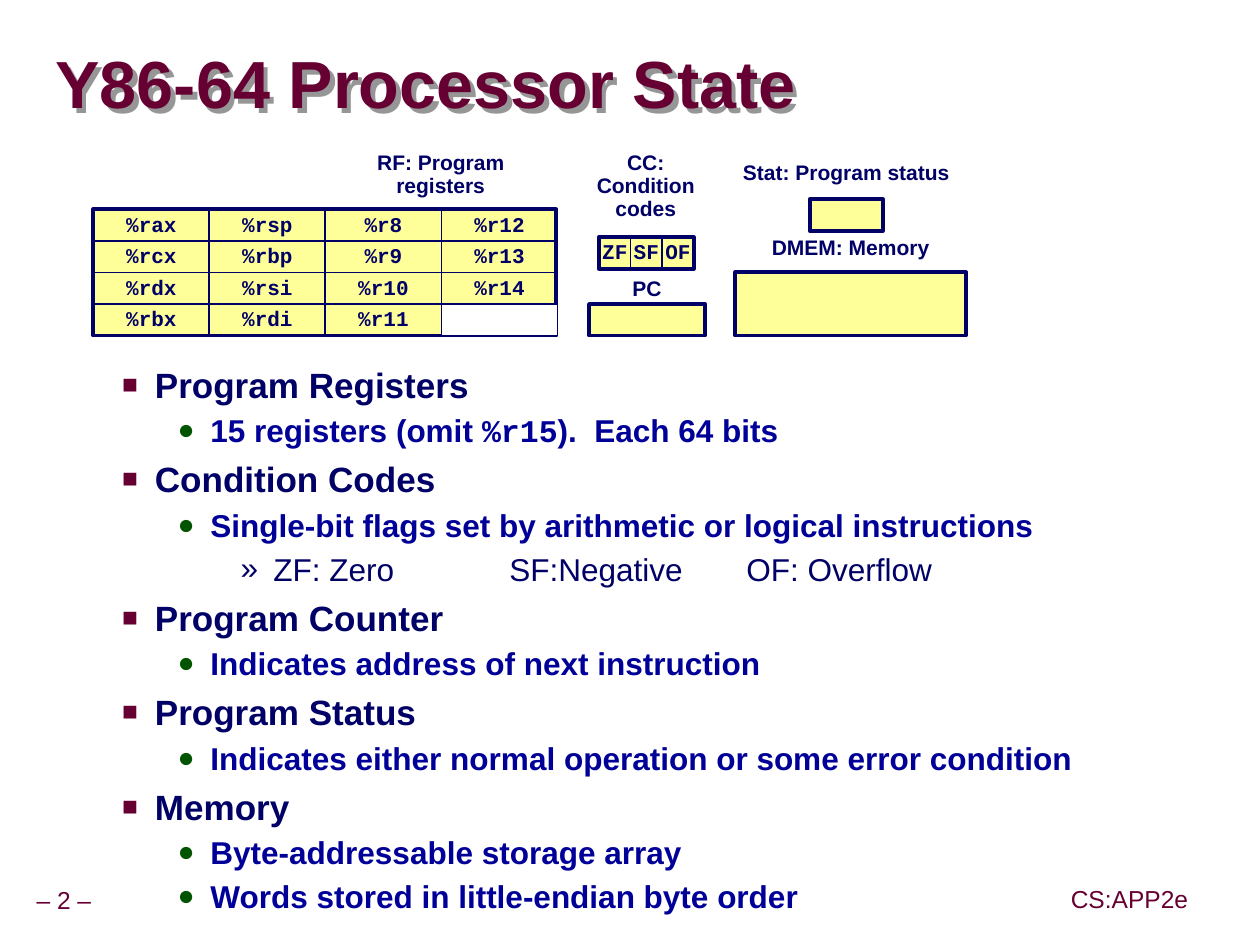
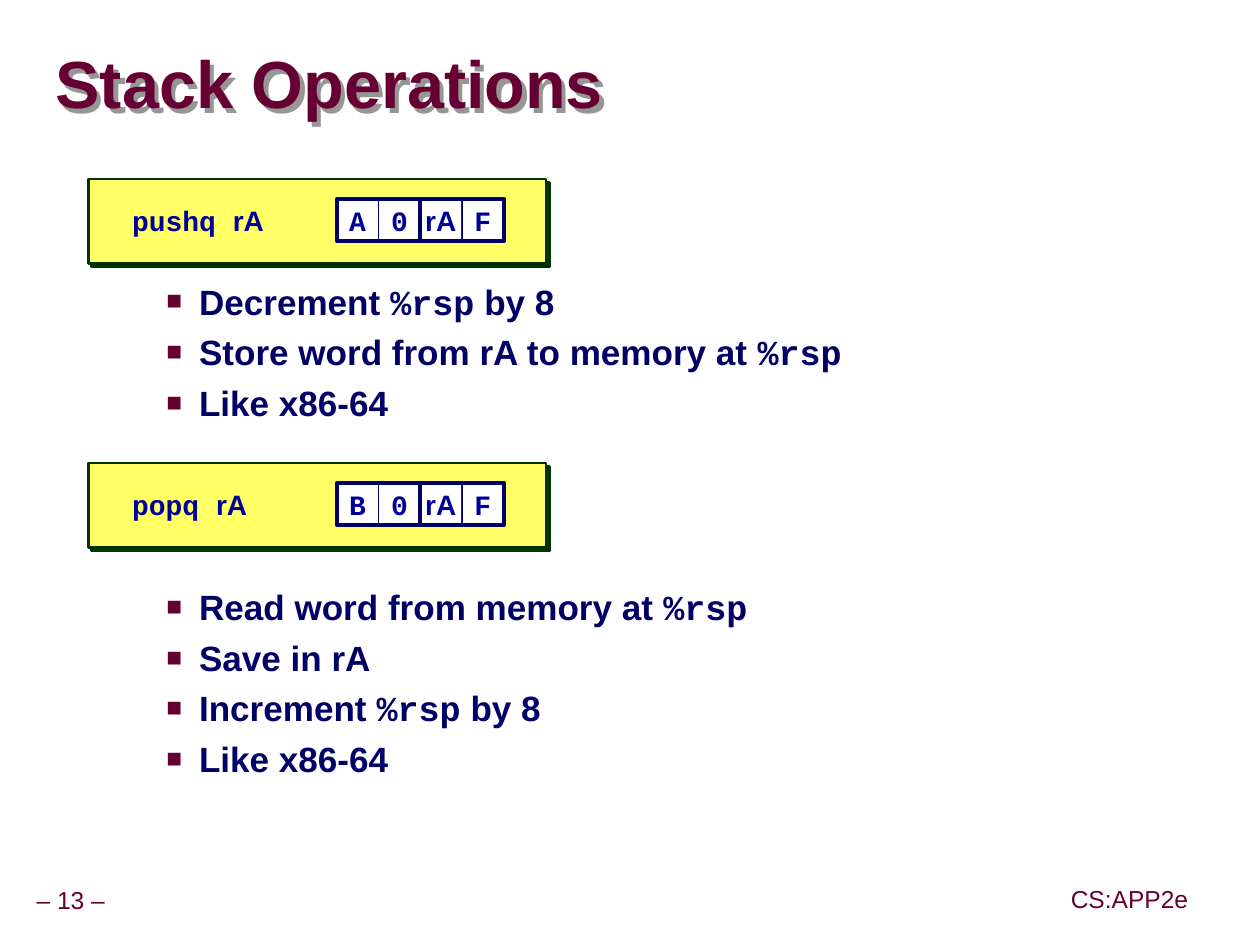
from lxml import etree
from pptx import Presentation
from pptx.dml.color import RGBColor
from pptx.enum.shapes import MSO_SHAPE
from pptx.enum.text import MSO_ANCHOR, PP_ALIGN
from pptx.oxml import parse_xml
from pptx.oxml.ns import nsdecls, qn
from pptx.util import Inches, Pt

MAROON = RGBColor(0x66, 0x00, 0x33)
NAVY = RGBColor(0x00, 0x00, 0x66)
BLUE = RGBColor(0x00, 0x00, 0x99)
GREEN = RGBColor(0x00, 0x54, 0x00)
DARK_GREEN = RGBColor(0x00, 0x33, 0x00)
GRAY = RGBColor(0x96, 0x96, 0x96)
PALE_YELLOW = RGBColor(0xFF, 0xFF, 0x99)
YELLOW = RGBColor(0xFF, 0xFF, 0x66)
WHITE = RGBColor(0xFF, 0xFF, 0xFF)

# Left margin, space before in %, line spacing, bullet, its colour and size in %,
# text size, colour, bold
LEVELS = [
    (0.81, 25, None, "■", MAROON, 75, 20, NAVY, True),
    (1.25, 10, 1.07, "●", GREEN, 90, 18, BLUE, True),
    (1.75, 20, None, "»", NAVY, 100, 18, NAVY, False),
]


def write(paragraph, text, size, color, bold=True, align=PP_ALIGN.LEFT, spacing=None):
    """Fill a paragraph; text between backticks is set in Courier New."""
    paragraph.alignment = align
    paragraph.line_spacing = spacing
    font = paragraph.font
    font.size, font.bold = Pt(size), bold
    font.color.rgb = color
    for index, part in enumerate(text.split("`")):
        if part:
            run = paragraph.add_run()
            run.text = part
            run.font.name = "Courier New" if index % 2 else "Arial"


def draw_box(slide, left, top, width, height, fill=None, line=NAVY, weight=2.25,
             text="", size=12, color=NAVY, spacing=0.9):
    box = slide.shapes.add_shape(MSO_SHAPE.RECTANGLE, Inches(left), Inches(top),
                                 Inches(width), Inches(height))
    box.shadow.inherit = False
    if fill is None:
        box.fill.background()
    else:
        box.fill.solid()
        box.fill.fore_color.rgb = fill
    box.line.color.rgb = line
    box.line.width = Pt(weight)
    if text:
        frame = box.text_frame
        frame.word_wrap = False
        frame.vertical_anchor = MSO_ANCHOR.MIDDLE
        write(frame.paragraphs[0], text, size, color, align=PP_ALIGN.CENTER, spacing=spacing)
    return box


prs = Presentation()
prs.slide_width, prs.slide_height = Inches(9.99), Inches(7.49)
state, stack = (prs.slides.add_slide(prs.slide_layouts[6]) for _ in range(2))
shadowed = []

# Titles and footers
for slide, title, number in [(state, "Y86-64 Processor State", "– 2 –"),
                             (stack, "Stack Operations", "– 13 –")]:
    heading = slide.shapes.add_textbox(Inches(0.44), Inches(0.27), Inches(9.52), Inches(0.85))
    frame = heading.text_frame
    frame.word_wrap = True
    frame.vertical_anchor = MSO_ANCHOR.MIDDLE
    frame.margin_left = frame.margin_right = frame.margin_top = frame.margin_bottom = 0
    write(frame.paragraphs[0], title, 38, MAROON, spacing=0.87)
    shadowed.append((heading, GRAY, 3.6))
    for left, top, width, text in [(0.24, 6.99, 0.66, number), (8.44, 6.98, 1.04, "CS:APP2e")]:
        footer = slide.shapes.add_textbox(Inches(left), Inches(top), Inches(width), Inches(0.31))
        frame = footer.text_frame
        frame.word_wrap = False
        frame.vertical_anchor = MSO_ANCHOR.MIDDLE
        frame.margin_left = frame.margin_right = Inches(0.05)
        write(frame.paragraphs[0], text, 14, MAROON, bold=False, spacing=0.9)

# Processor state: register file, condition codes, PC, status, memory
REGISTERS = [["%rax", "%rcx", "%rdx", "%rbx"], ["%rsp", "%rbp", "%rsi", "%rdi"],
             ["%r8", "%r9", "%r10", "%r11"], ["%r12", "%r13", "%r14", ""]]
for left, top, width, height in [(0.74, 1.66, 3.67, 1), (4.75, 1.88, 0.75, 0.25),
                                 (4.67, 2.41, 0.92, 0.25), (5.83, 2.16, 1.83, 0.5),
                                 (6.42, 1.58, 0.58, 0.25)]:
    draw_box(state, left, top, width, height, PALE_YELLOW)
for column, names in enumerate(REGISTERS):
    for row, name in enumerate(names):
        draw_box(state, 0.74 + 0.92 * column, 1.66 + 0.25 * row, 0.92, 0.25,
                 None if name else WHITE, weight=1, text=f"`{name}`" if name else "")
for index, flag in enumerate(["ZF", "SF", "OF"]):
    draw_box(state, 4.75 + 0.25 * index, 1.88, 0.25, 0.25, weight=1, text=f"`{flag}`")

for left, top, width, height, text in [
    (2.58, 1.16, 1.83, 0.5, "RF: Program registers"),
    (4.58, 1.16, 1.08, 0.65, "CC: Condition codes"),
    (4.67, 2.16, 0.92, 0.3, "PC"),
    (5.83, 1.83, 1.83, 0.3, "DMEM: Memory"),
    (5.67, 1.24, 2.08, 0.3, "Stat: Program status"),
]:
    label = state.shapes.add_textbox(Inches(left), Inches(top), Inches(width), Inches(height))
    label.text_frame.word_wrap = True
    write(label.text_frame.paragraphs[0], text, 12, NAVY, align=PP_ALIGN.CENTER, spacing=0.9)

# Stack instructions and their byte encodings
for top, instruction, code in [(1.42, "pushq", "A"), (3.67, "popq", "B")]:
    panel = draw_box(stack, 0.7, top, 3.63, 0.67, YELLOW, DARK_GREEN, 1.5)
    shadowed.append((panel, DARK_GREEN, 2.8))
    byte_top = top + 0.16
    syntax = stack.shapes.add_textbox(Inches(0.95), Inches(byte_top), Inches(1.7), Inches(0.33))
    syntax.text_frame.word_wrap = True
    syntax.text_frame.vertical_anchor = MSO_ANCHOR.MIDDLE
    write(syntax.text_frame.paragraphs[0], f"`{instruction} `rA", 16, BLUE)
    for left, nibbles in [(2.67, [f"`{code}`", "`0`"]), (3.33, ["rA", "`F`"])]:
        for index, nibble in enumerate(nibbles):
            draw_box(stack, left + index / 3, byte_top, 0.33, 0.33, WHITE, weight=0.5,
                     text=nibble, size=16, color=BLUE, spacing=None)
        draw_box(stack, left, byte_top, 0.67, 0.33)

# Bulleted text
STATE_POINTS = [
    (0, "Program Registers"),
    (1, "15 registers (omit `%r15`).  Each 64 bits"),
    (0, "Condition Codes"),
    (1, "Single-bit flags set by arithmetic or logical instructions"),
    (2, "ZF: Zero\tSF:Negative\t\tOF: Overflow"),
    (0, "Program Counter"),
    (1, "Indicates address of next instruction"),
    (0, "Program Status"),
    (1, "Indicates either normal operation or some error condition"),
    (0, "Memory"),
    (1, "Byte-addressable storage array"),
    (1, "Words stored in little-endian byte order"),
]
PUSH_POINTS = [(0, "Decrement `%rsp` by 8"), (0, "Store word from rA to memory at `%rsp`"),
               (0, "Like x86-64")]
POP_POINTS = [(0, "Read word from memory at `%rsp`"), (0, "Save in rA"),
              (0, "Increment `%rsp` by 8"), (0, "Like x86-64")]

for slide, left, top, width, height, points in [
    (state, 0.32, 2.83, 9.07, 4.2, STATE_POINTS),
    (stack, 0.67, 2.17, 8.42, 1.3, PUSH_POINTS),
    (stack, 0.67, 4.59, 8.42, 1.7, POP_POINTS),
]:
    body = slide.shapes.add_textbox(Inches(left), Inches(top), Inches(width), Inches(height))
    frame = body.text_frame
    frame.word_wrap = True
    for index, (level, text) in enumerate(points):
        margin, before, spacing, bullet, bullet_color, percent, size, color, bold = LEVELS[level]
        paragraph = frame.add_paragraph() if index else frame.paragraphs[0]
        paragraph.level = level
        properties = paragraph._p.get_or_add_pPr()
        properties.set("marL", str(Inches(margin)))
        properties.set("indent", str(Inches(-0.26)))
        settings = parse_xml(
            f'<a:pPr {nsdecls("a")}>'
            f'<a:spcBef><a:spcPct val="{before * 1000}"/></a:spcBef>'
            f'<a:buClr><a:srgbClr val="{bullet_color}"/></a:buClr>'
            f'<a:buSzPct val="{percent * 1000}"/>'
            f'<a:buFont typeface="Arial"/><a:buChar char="{bullet}"/>'
            f'<a:tabLst><a:tab pos="{Inches(3.62)}" algn="l"/>'
            f'<a:tab pos="{Inches(5.06)}" algn="l"/></a:tabLst></a:pPr>')
        properties.extend(list(settings))
        write(paragraph, text, size, color, bold, spacing=spacing)

# Hard shadows to the lower right
for shape, color, distance in shadowed:
    shape.shadow.inherit = False
    effects = shape._element.spPr.find(qn("a:effectLst"))
    shadow = etree.SubElement(effects, qn("a:outerShdw"), blurRad="0", dist=str(Pt(distance)),
                              dir="2700000", algn="ctr", rotWithShape="0")
    etree.SubElement(shadow, qn("a:srgbClr"), val=str(color))

prs.save("out.pptx")
